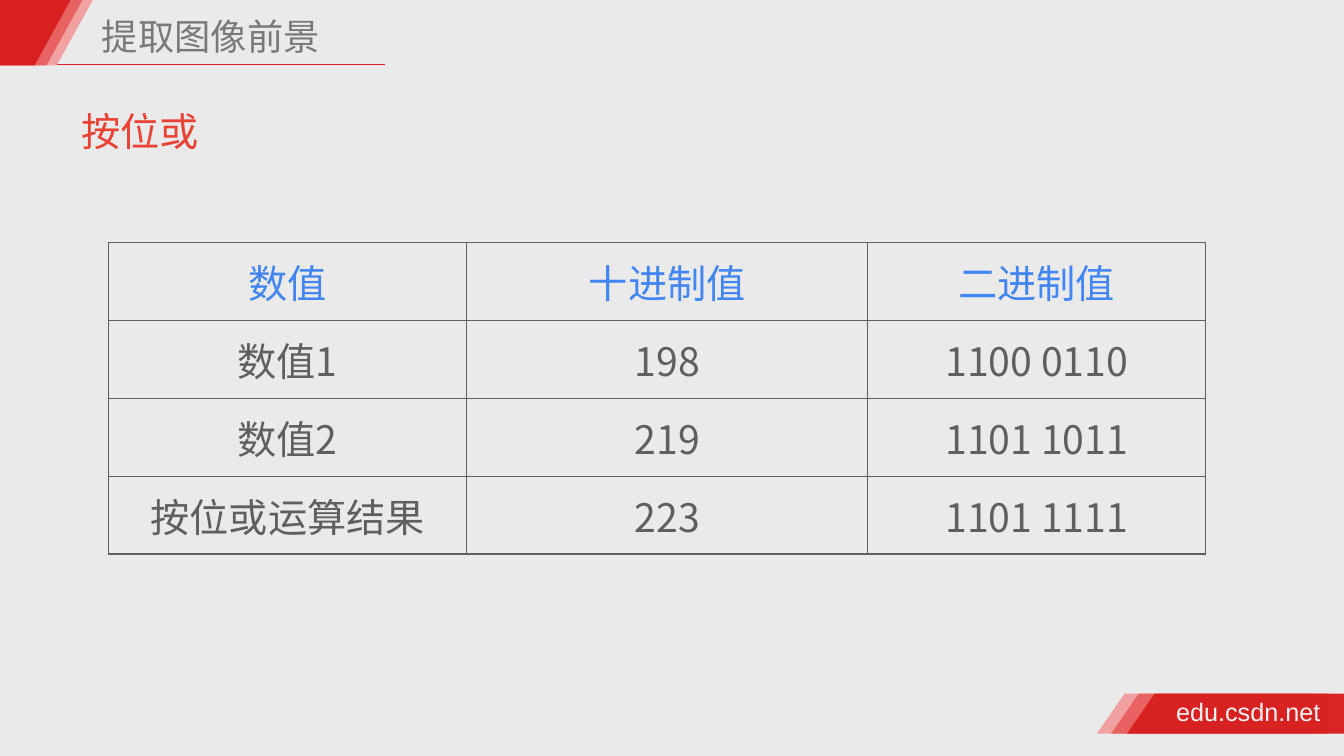
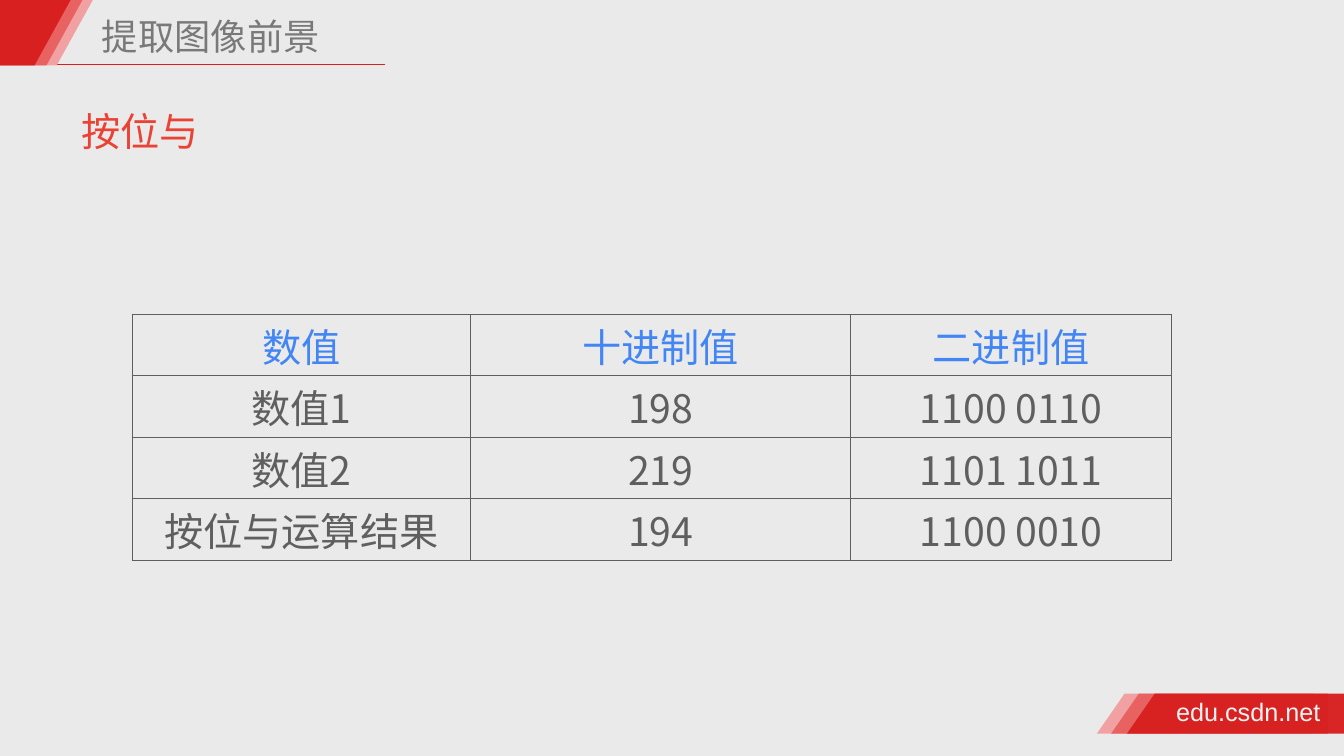
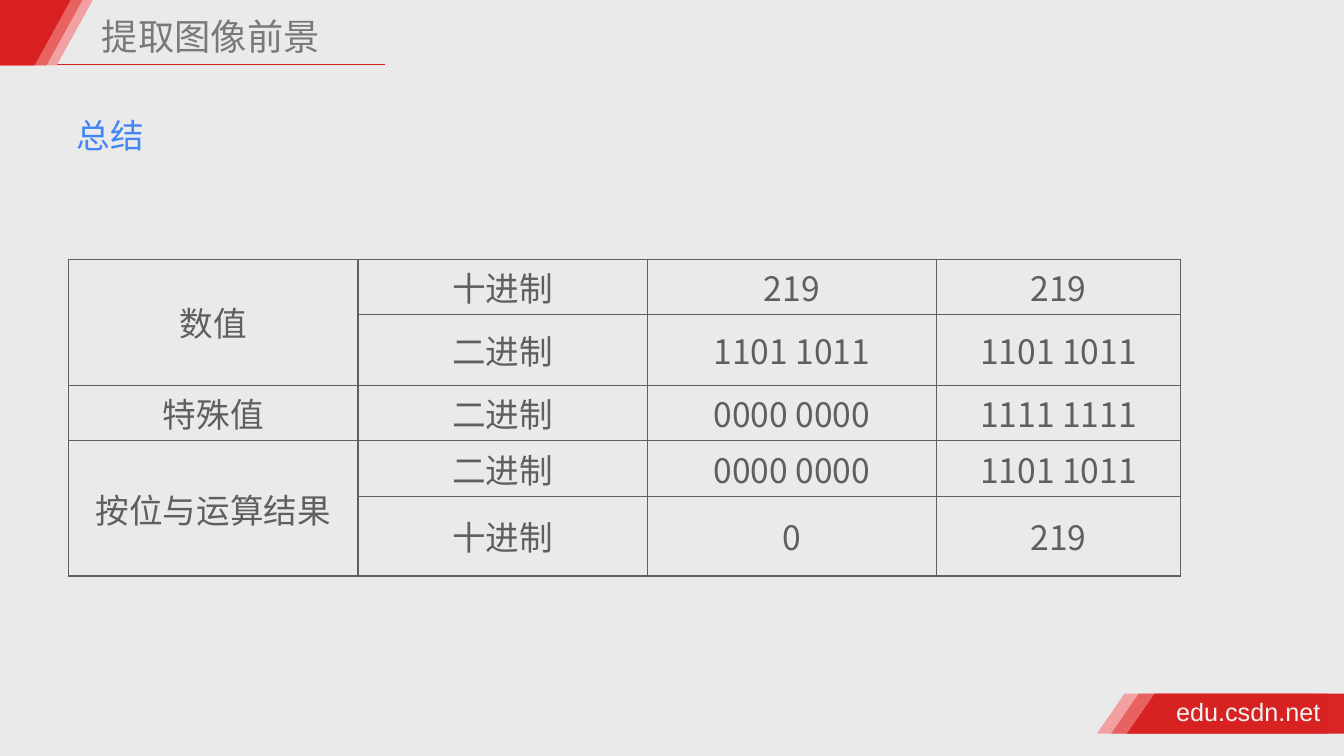
from lxml.etree import SubElement as Sub
from pptx import Presentation
from pptx.dml.color import RGBColor
from pptx.enum.shapes import MSO_CONNECTOR as Conn
from pptx.enum.text import MSO_ANCHOR as Anchor, MSO_AUTO_SIZE as Auto, PP_ALIGN as Align
from pptx.oxml import parse_xml
from pptx.oxml.ns import nsdecls, qn
from pptx.util import Cm, Pt

# Shared style
SANS, LATIN = "Noto Sans CJK SC", "Arial"
PAPER, PALE, GREY, TITLE = "EAEAEA", "F2F2F2", "5F5F5F", "797979"
RED, BLUE, BRAND = "EA4335", "4285F4", "D82020"
BANDS = ["F1A1A1", "E86262", BRAND]


def rgb(code):
    return RGBColor.from_string(code)


class Deck:
    def __init__(self):
        self.prs = Presentation()
        self.prs.slide_width, self.prs.slide_height = Cm(33.87), Cm(19.05)
        self.slide = None

    def page(self, title):
        self.slide = self.prs.slides.add_slide(self.prs.slide_layouts[6])
        fill = self.slide.background.fill
        fill.solid()
        fill.fore_color.rgb = rgb(PAPER)
        self.rule(1.24, 9.7, 1.63)
        # Footer bands
        top, low = 17.48, 18.49
        for left, hue in zip((27.64, 28, 28.4), BANDS):
            right = left + 5.47
            band = self.band([(left, low), (left + 0.7, top), (right, top), (right, low)], hue)
        tint = band.fill._xPr.find(".//" + qn("a:srgbClr"))
        Sub(tint, qn("a:alpha"), val="97000")
        self.text("edu.csdn.net", 29.51, 17.42, 3.94, 1.02, 18, PALE, LATIN, wrap=False)
        # Corner bands
        for right, hue in zip((2.34, 2.08, 1.78), BANDS):
            self.band([(0, 0), (right, 0), (right - 0.91, 1.65), (0, 1.65)], hue)
        self.text(title, 2.44, 0.13, 9.8, 1.42, 25.9, TITLE, space=1.1, grow=False)

    def rule(self, left, right, y):
        line = self.slide.shapes.add_connector(Conn.STRAIGHT, Cm(left), Cm(y), Cm(right), Cm(y))
        line.line.color.rgb = rgb(BRAND)
        line.line.width = Pt(1)
        Sub(line._element.spPr, qn("a:effectLst"))

    def band(self, spots, hue):
        spots = [(Cm(x), Cm(y)) for x, y in spots]
        pen = self.slide.shapes.build_freeform(*spots[0])
        pen.add_line_segments(spots[1:], close=True)
        shape = pen.convert_to_shape()
        shape.shadow.inherit = False
        shape.fill.solid()
        shape.fill.fore_color.rgb = rgb(hue)
        shape.line.fill.background()
        return shape

    def run(self, para, words, size, hue, face=SANS):
        run = para.add_run()
        run.text = words
        font = run.font
        font.size, font.name, font.color.rgb = Pt(size), face, rgb(hue)
        Sub(run._r.get_or_add_rPr(), qn("a:ea"), typeface=face)

    def text(self, words, x, y, w, h, size, hue, face=SANS, space=None, wrap=True, grow=True):
        frame = self.slide.shapes.add_textbox(Cm(x), Cm(y), Cm(w), Cm(h)).text_frame
        frame.word_wrap = wrap
        frame.auto_size = Auto.SHAPE_TO_FIT_TEXT if grow else Auto.NONE
        frame.margin_left = frame.margin_right = Cm(0.13)
        frame.margin_top = frame.margin_bottom = Cm(0.13)
        para = frame.paragraphs[0]
        if space:
            para.line_spacing = space
        self.run(para, words, size, hue)if face == SANS else self.run(para, words, size, hue, face)

    def cell(self, cell, words, size, hue, side, edge=0):
        cell.margin_left = cell.margin_right = Cm(side)
        cell.margin_top = cell.margin_bottom = Cm(edge)
        cell.vertical_anchor = Anchor.MIDDLE
        cell.fill.background()
        props = cell._tc.get_or_add_tcPr()
        for spot, name in enumerate(("lnL", "lnR", "lnT", "lnB")):
            props.insert(spot, parse_xml(
                f'<a:{name} {nsdecls("a")} w="12700"><a:solidFill>'
                f'<a:srgbClr val="{GREY}"/></a:solidFill></a:{name}>'))
        if words:
            para = cell.text_frame.paragraphs[0]
            para.alignment = Align.CENTER
            self.run(para, words, size, hue)

    def table(self, x, y, cols, rows, data, size, side, head=None, pairs=()):
        """Rows in pairs are merged with the next row in the first column."""
        table = self.slide.shapes.add_table(
            len(rows), len(cols), Cm(x), Cm(y), Cm(sum(cols)), Cm(sum(rows))).table
        table.first_row = table.horz_banding = False
        for col, width in zip(table.columns, cols):
            col.width = Cm(width)
        for row, height in zip(table.rows, rows):
            row.height = Cm(height)
        for r, line in enumerate(data):
            hue = head if head and r == 0 else GREY
            for c, words in enumerate(line):
                pad = (0.55, 0.28) if c == 0 and r in pairs else (side, 0)
                self.cell(table.cell(r, c), words, size, hue, *pad)
        for r in pairs:
            table.cell(r, 0).merge(table.cell(r + 1, 0))


def main():
    deck = Deck()
    topic = "提取图像前景"

    # Bitwise operations
    ops = [
        ("按位或", "223", "1101 1111", 2.74, 6.12, [9.02, 10.11, 8.51], 1.96, 0.53),
        ("按位与", "194", "1100 0010", 3.33, 7.92, [8.53, 9.58, 8.08], 1.55, 0.43),
    ]
    for name, value, bits, x, y, cols, high, side in ops:
        deck.page(topic)
        data = [
            ["数值", "十进制值", "二进制值"],
            ["数值1", "198", "1100 0110"],
            ["数值2", "219", "1101 1011"],
            [name + "运算结果", value, bits],
        ]
        deck.table(x, y, cols, [high] * 4, data, 28, side, head=BLUE)
        deck.text(name, 1.93, 1.98, 3.81, 2.06, 28, RED, space=1.5)

    # Summary
    deck.page(topic)
    data = [
        ["数值", "十进制", "219", "219"],
        ["", "二进制", "1101 1011", "1101 1011"],
        ["特殊值", "二进制", "0000 0000", "1111 1111"],
        ["按位与运算结果", "二进制", "0000 0000", "1101 1011"],
        ["", "十进制", "0", "219"],
    ]
    deck.table(1.73, 6.53, [7.29] * 3 + [6.15], [1.4, 1.78, 1.4, 1.4, 2.01],
               data, 24, 0.4, pairs=(0, 3))
    deck.text("总结", 1.8, 2.77, 3.13, 1.27, 24, BLUE)

    deck.prs.save("out.pptx")


if __name__ == "__main__":
    main()
